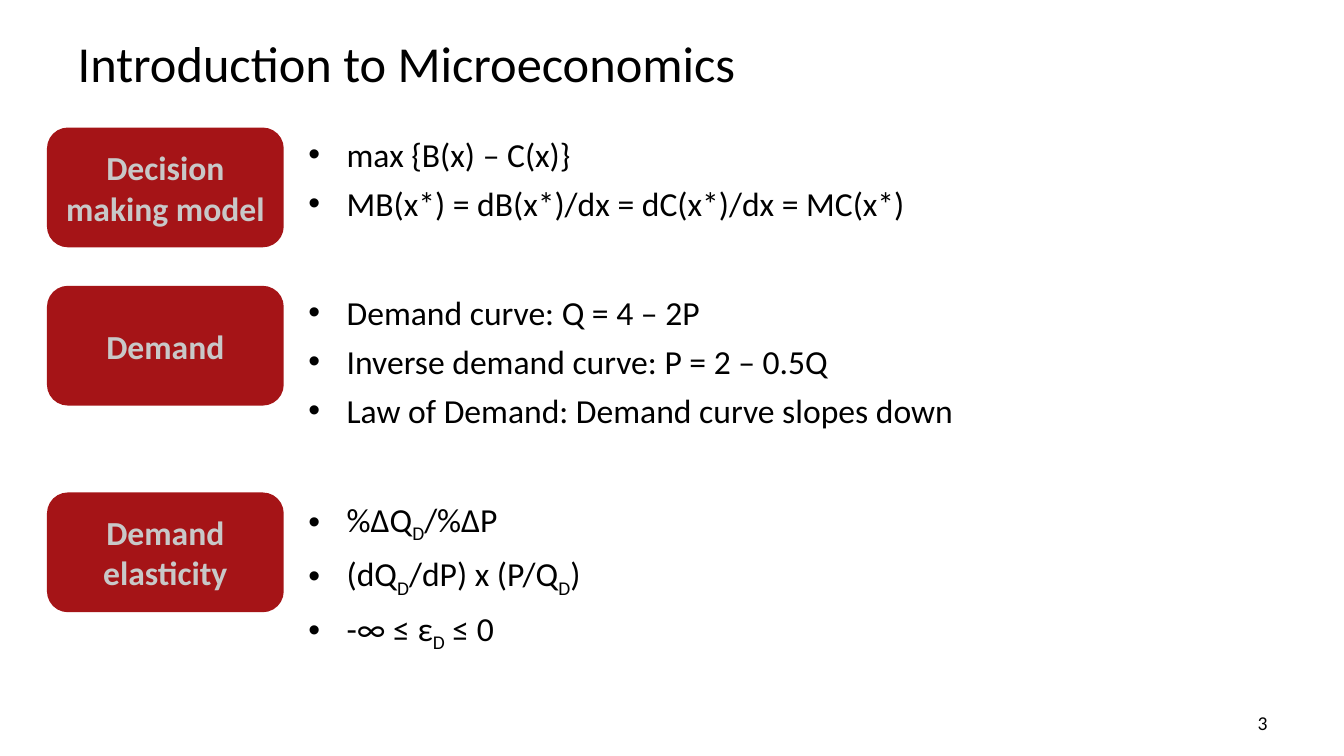
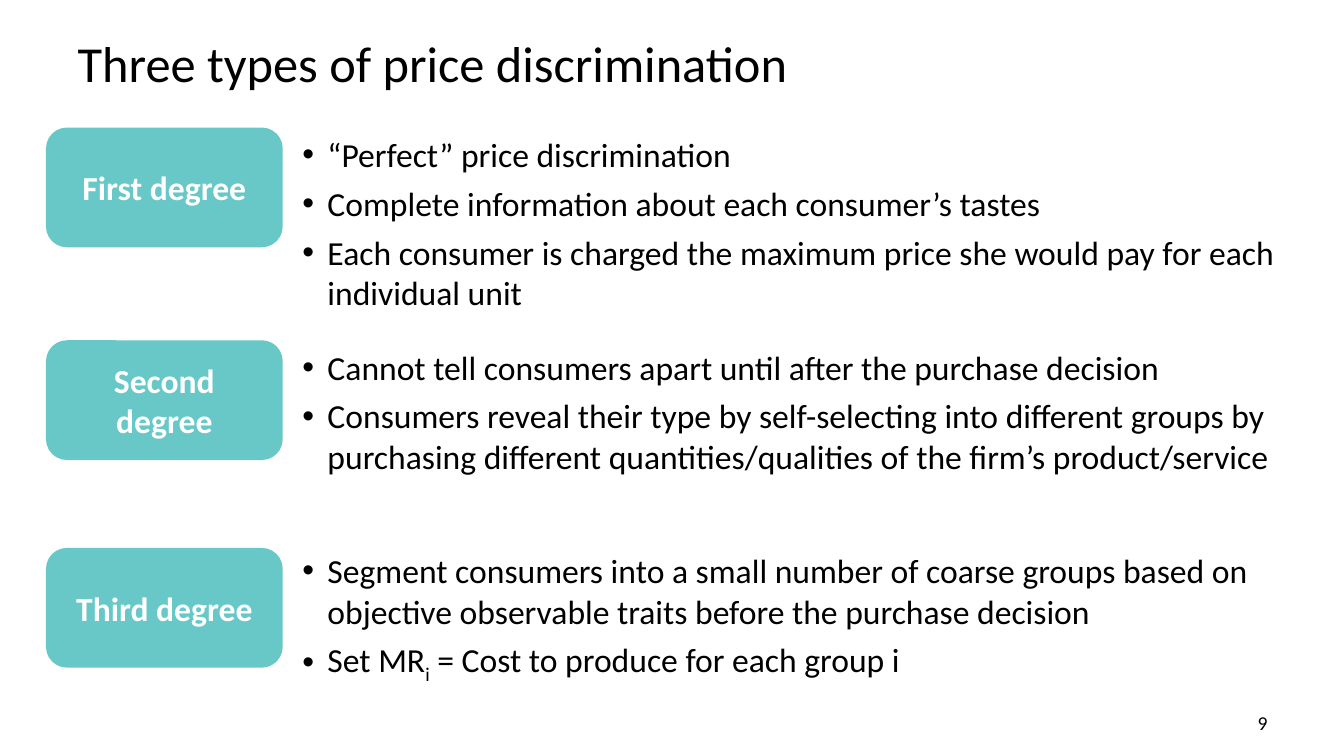
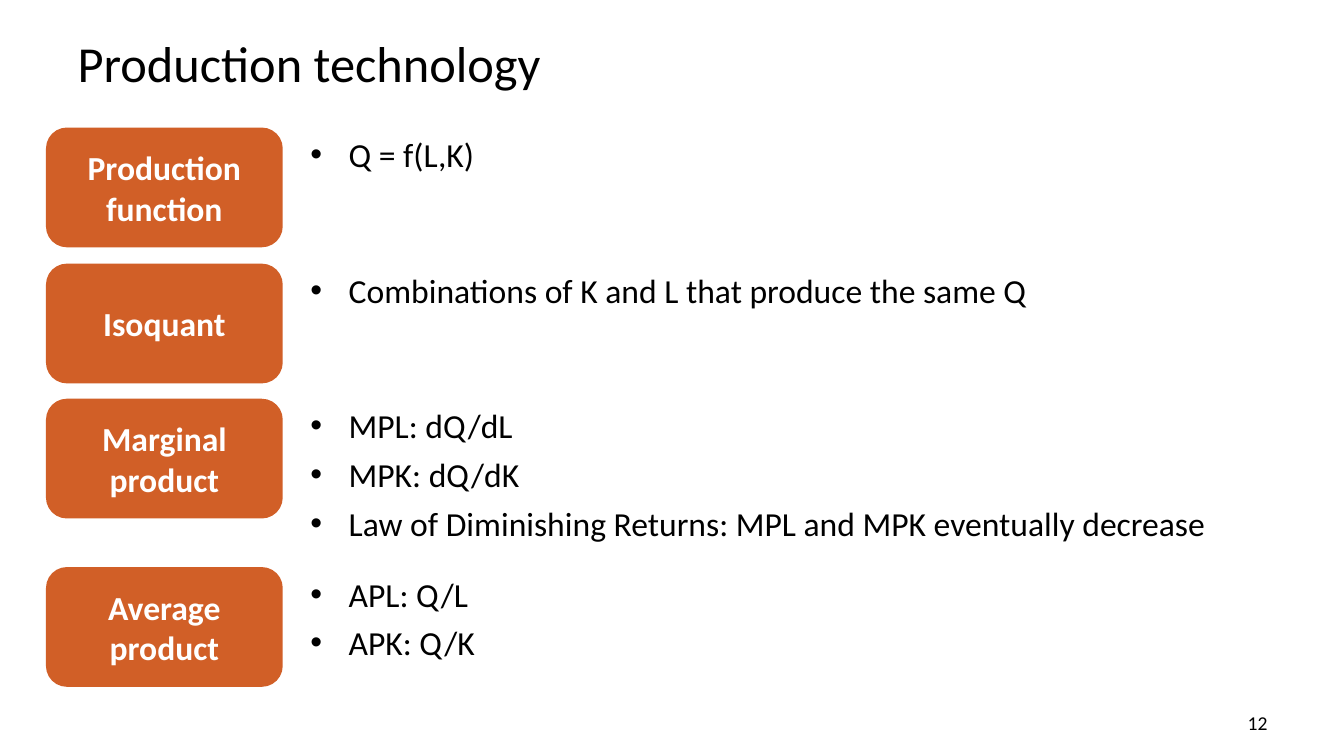
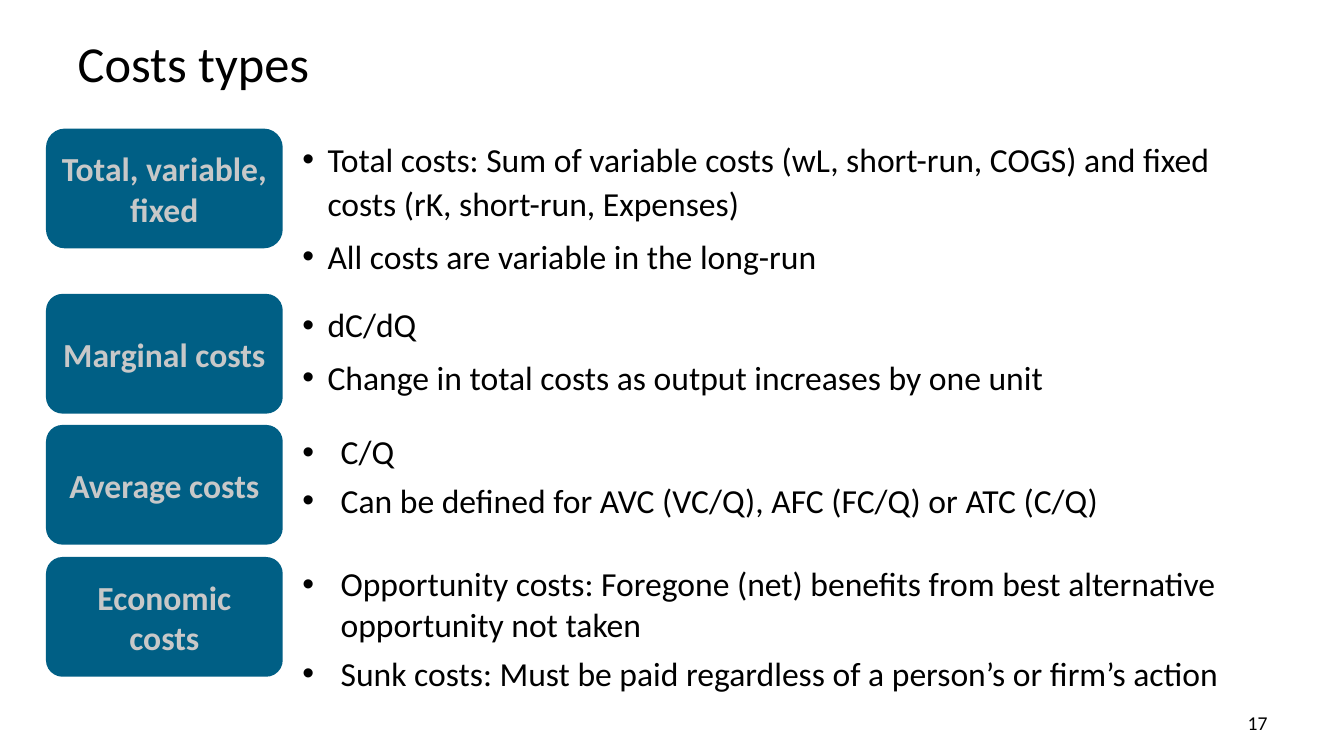
from dataclasses import dataclass

from lxml.etree import SubElement
from pptx import Presentation
from pptx.dml.color import RGBColor
from pptx.enum.shapes import MSO_SHAPE
from pptx.enum.text import MSO_ANCHOR, MSO_AUTO_SIZE, PP_ALIGN
from pptx.oxml.ns import qn
from pptx.util import Emu, Pt

PX = 9144  # 100 px to the inch
FONT = "Calibri"
BLACK = RGBColor(0x00, 0x00, 0x00)
WHITE = RGBColor(0xFF, 0xFF, 0xFF)
SILVER = RGBColor(0xC8, 0xC8, 0xC8)
RED = RGBColor(0xA5, 0x14, 0x17)
TEAL = RGBColor(0x67, 0xC8, 0xC7)
ORANGE = RGBColor(0xD1, 0x5F, 0x27)
BLUE = RGBColor(0x00, 0x5F, 0x85)

LABEL_WIDTH, LABEL_HEIGHT = 232, 116
WIDE_INDENT, NARROW_INDENT = 38, 25


@dataclass
class Topic:
    """A label with its bullet points; text between underscores is subscript."""
    label: str
    top: int
    height: int
    points: list
    indent: int = WIDE_INDENT
    spacing: float = 1.0
    points_shift: int = 0
    side_inset: int = 10
    corner: float = 0.167


@dataclass
class Page:
    title: str
    number: int
    fill: RGBColor
    label_color: RGBColor
    label_left: int
    points_left: int
    points_width: int
    topics: list


PAGES = [
    Page("Introduction to Microeconomics", 3, RED, SILVER, 48, 296, 989, [
        Topic("Decision making model", 128, 99, [
            "max {B(x) – C(x)}",
            "MB(x*) = dB(x*)/dx = dC(x*)/dx = MC(x*)",
        ], side_inset=0),
        Topic("Demand", 285, 148, [
            "Demand curve: Q = 4 – 2P",
            "Inverse demand curve: P = 2 – 0.5Q",
            "Law of Demand: Demand curve slopes down",
        ], side_inset=0),
        Topic("Demand elasticity", 490, 148, [
            "%ΔQ_D_/%ΔP",
            "(dQ_D_/dP) x (P/Q_D_)",
            "-∞ ≤ ε_D_ ≤ 0",
        ], side_inset=0),
    ]),
    Page("Three types of price discrimination", 9, TEAL, WHITE, 47, 290, 996, [
        Topic("First degree", 128, 188, [
            "“Perfect” price discrimination",
            "Complete information about each consumer’s tastes",
            "Each consumer is charged the maximum price she would pay for each "
            "individual unit",
        ], NARROW_INDENT),
        Topic("Second degree", 339, 140, [
            "Cannot tell consumers apart until after the purchase decision",
            "Consumers reveal their type by self-selecting into different groups by "
            "purchasing different quantities/qualities of the firm’s product/service",
        ], NARROW_INDENT),
        Topic("Third degree", 545, 140, [
            "Segment consumers into a small number of coarse groups based on "
            "objective observable traits before the purchase decision",
            "Set MR_i_ = Cost to produce for each group i",
        ], NARROW_INDENT, points_shift=-4),
    ]),
    Page("Production technology", 12, ORANGE, WHITE, 47, 298, 989, [
        Topic("Production function", 128, 50, ["Q = f(L,K)"]),
        Topic("Isoquant", 263, 50, ["Combinations of K and L that produce the same Q"]),
        Topic("Marginal product", 397, 148, [
            "MPL: dQ/dL",
            "MPK: dQ/dK",
            "Law of Diminishing Returns: MPL and MPK eventually decrease",
        ]),
        Topic("Average product", 564, 99, ["APL: Q/L", "APK: Q/K"]),
    ]),
    Page("Costs types", 17, BLUE, SILVER, 47, 290, 992, [
        Topic("Total, variable, fixed", 129, 149, [
            "Total costs: Sum of variable costs (wL, short-run, COGS) and fixed "
            "costs (rK, short-run, Expenses)",
            "All costs are variable in the long-run",
        ], NARROW_INDENT, 1.1, side_inset=0, corner=0.15),
        Topic("Marginal costs", 293, 105, [
            "dC/dQ",
            "Change in total costs as output increases by one unit",
        ], NARROW_INDENT, 1.1, corner=0.13),
        Topic("Average costs", 423, 99, [
            "C/Q",
            "Can be defined for AVC (VC/Q), AFC (FC/Q) or ATC (C/Q)",
        ], corner=0.13),
        Topic("Economic costs", 554, 140, [
            "Opportunity costs: Foregone (net) benefits from best alternative "
            "opportunity not taken",
            "Sunk costs: Must be paid regardless of a person’s or firm’s action",
        ], corner=0.13),
    ]),
]


def px(*lengths):
    return [Emu(length * PX) for length in lengths]


def style_font(font, size, color=BLACK, bold=False):
    font.name = FONT
    font.size = Pt(size)
    font.bold = bold
    font.color.rgb = color


def set_line(frame, text, size, alignment, color=BLACK, bold=False):
    """Fill a frame with one formatted paragraph."""
    frame.text = text
    frame.word_wrap = True
    para = frame.paragraphs[0]
    para.alignment = alignment
    style_font(para.runs[0].font, size, color, bold)


def add_title(page, text):
    title = page.shapes.title
    title.left, title.top, title.width, title.height = px(67, 26, 1200, 71)
    frame = title.text_frame
    set_line(frame, text, 36, PP_ALIGN.LEFT)
    frame.vertical_anchor = MSO_ANCHOR.MIDDLE
    frame.auto_size = MSO_AUTO_SIZE.SHAPE_TO_FIT_TEXT


def add_page_number(page, number):
    box = page.shapes.add_textbox(*px(956, 700, 311, 34))
    set_line(box.text_frame, str(number), 14, PP_ALIGN.RIGHT)
    box.text_frame.auto_size = MSO_AUTO_SIZE.SHAPE_TO_FIT_TEXT


def add_label(shapes, content, topic):
    label = shapes.add_shape(
        MSO_SHAPE.ROUNDED_RECTANGLE,
        *px(content.label_left, topic.top, LABEL_WIDTH, LABEL_HEIGHT))
    label.adjustments[0] = topic.corner
    label.shadow.inherit = False
    label.fill.solid()
    label.fill.fore_color.rgb = content.fill
    label.line.color.rgb = content.fill
    label.line.width = Pt(2)
    frame = label.text_frame
    frame.margin_left, frame.margin_right = px(topic.side_inset, topic.side_inset)
    frame.vertical_anchor = MSO_ANCHOR.MIDDLE
    set_line(frame, topic.label, 24, PP_ALIGN.CENTER, content.label_color, True)


def add_bullet(para, indent):
    properties = para._p.get_or_add_pPr()
    properties.set("marL", str(indent * PX))
    properties.set("indent", str(-indent * PX))
    SubElement(properties, qn("a:buFont"), typeface="Arial")
    SubElement(properties, qn("a:buChar"), char="•")


def write_point(para, text):
    """Write text, setting each part between underscores as subscript."""
    for index, part in enumerate(text.split("_")):
        span = para.add_run()
        span.text = part
        style_font(span.font, 24)
        if index % 2:
            span.font._element.set("baseline", "-25000")


def add_points(shapes, content, topic):
    box = shapes.add_textbox(*px(
        content.points_left, topic.top + topic.points_shift,
        content.points_width, topic.height))
    frame = box.text_frame
    frame.word_wrap = True
    frame.auto_size = MSO_AUTO_SIZE.SHAPE_TO_FIT_TEXT
    for index, point in enumerate(topic.points):
        para = frame.add_paragraph() if index else frame.paragraphs[0]
        add_bullet(para, topic.indent)
        para.line_spacing = topic.spacing
        para.space_after = Pt(6)
        write_point(para, point)


def add_topic(page, content, topic):
    group = page.shapes.add_group_shape()
    add_points(group.shapes, content, topic)
    add_label(group.shapes, content, topic)


def main():
    deck = Presentation()
    deck.slide_width, deck.slide_height = px(1333, 750)
    title_only = deck.slide_layouts[5]
    for content in PAGES:
        page = deck.slides.add_slide(title_only)
        add_title(page, content.title)
        for topic in content.topics:
            add_topic(page, content, topic)
        add_page_number(page, content.number)
    deck.save("out.pptx")


if __name__ == "__main__":
    main()
